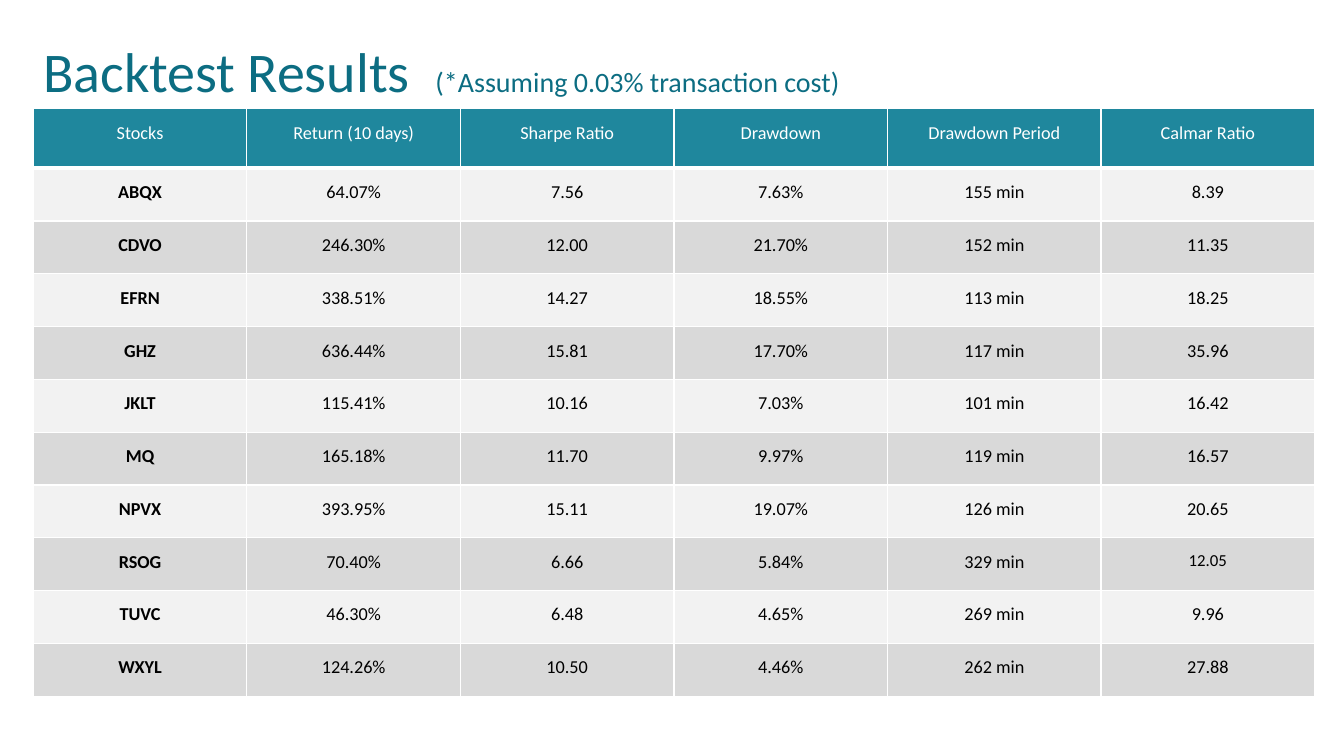
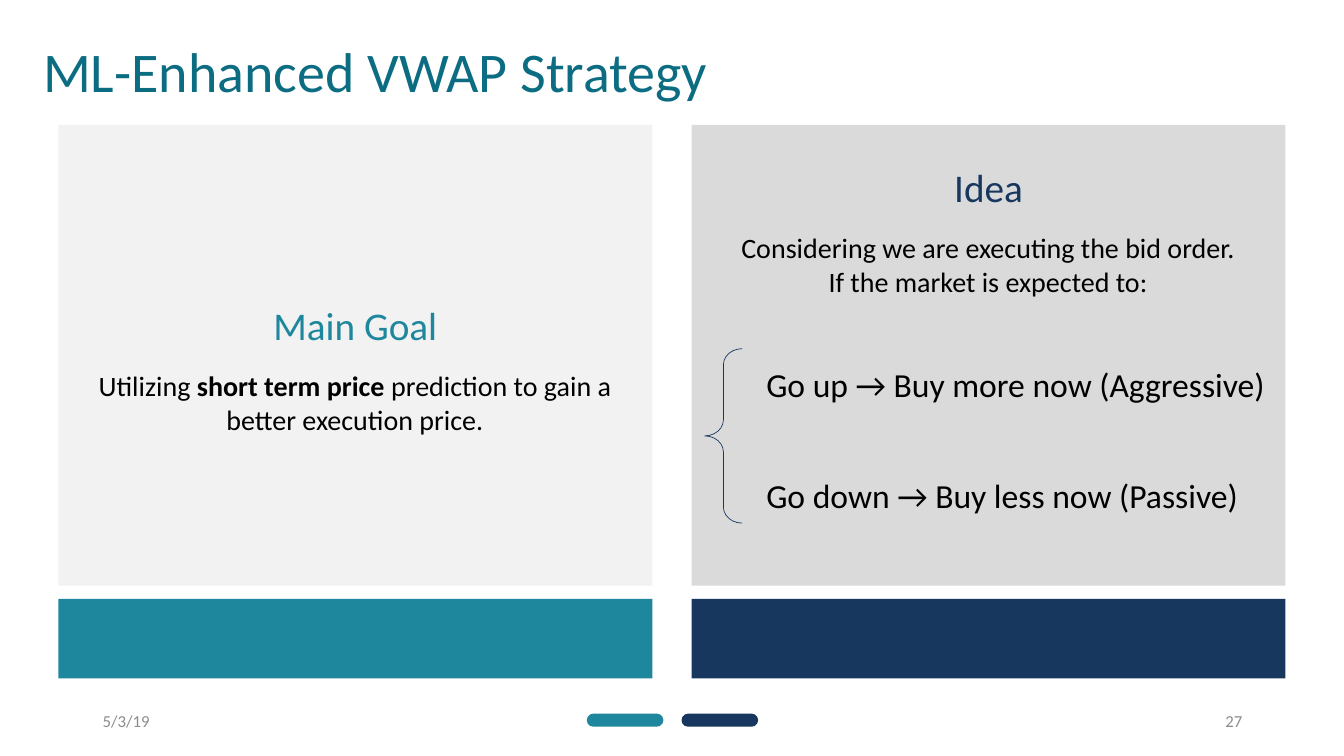
from lxml.etree import SubElement
from pptx import Presentation
from pptx.dml.color import RGBColor
from pptx.enum.shapes import MSO_SHAPE as Preset
from pptx.enum.text import MSO_ANCHOR as Anchor, PP_ALIGN as Align
from pptx.oxml.ns import qn
from pptx.util import Inches, Pt

FONT = "Calibri"
TITLE, TEAL, NAVY = "0C6D82", "1F879D", "17375E"
LIGHT, MID, CARD = "F2F2F2", "D9D9D9", "DADADA"
BLACK, WHITE, GRAY = "000000", "FFFFFF", "8C8C8C"


def color(value):
    return RGBColor.from_string(value)


class Deck:
    """Builds slides in one shared style."""

    def __init__(self):
        self.presentation = Presentation()
        self.presentation.slide_width = Inches(13.33)
        self.presentation.slide_height = Inches(7.5)
        self.slide = None

    def new_slide(self, title, note=None):
        self.slide = self.presentation.slides.add_slide(self.presentation.slide_layouts[6])
        frame = self.text(0.33, 0.39, 12.6, 0.7, [[(title, False)]], 40, TITLE, inset=None)
        paragraph = frame.paragraphs[0]
        paragraph.line_spacing = 0.9
        if note:
            tabs = SubElement(paragraph._p.get_or_add_pPr(), qn("a:tabLst"))
            SubElement(tabs, qn("a:tab"), pos=str(Inches(3.89)), algn="l")
            self.run(paragraph, "\t" + note, 20, TITLE)

    def run(self, paragraph, text, size, ink, bold=False):
        run = paragraph.add_run()
        run.text = text
        run.font.name = FONT
        run.font.size = Pt(size)
        run.font.bold = bold
        run.font.color.rgb = color(ink)

    def text(self, left, top, width, height, paragraphs, size, ink,
             align=Align.LEFT, anchor=Anchor.TOP, inset=0):
        box = self.slide.shapes.add_textbox(
            Inches(left), Inches(top), Inches(width), Inches(height))
        frame = box.text_frame
        frame.word_wrap = True
        frame.vertical_anchor = anchor
        if inset is not None:
            frame.margin_left = frame.margin_right = Inches(inset)
            frame.margin_top = frame.margin_bottom = Inches(inset)
        for index, runs in enumerate(paragraphs):
            paragraph = frame.add_paragraph() if index else frame.paragraphs[0]
            paragraph.alignment = align
            for words, bold in runs:
                self.run(paragraph, words, size, ink, bold)
        return frame

    def shape(self, preset, left, top, width, height, fill=None, line=None, adjustments=()):
        shape = self.slide.shapes.add_shape(
            preset, Inches(left), Inches(top), Inches(width), Inches(height))
        shape.shadow.inherit = False
        for index, value in enumerate(adjustments):
            shape.adjustments[index] = value
        if fill:
            shape.fill.solid()
            shape.fill.fore_color.rgb = color(fill)
        else:
            shape.fill.background()
        if line:
            shape.line.color.rgb = color(line)
            shape.line.width = Pt(0.5)
        else:
            shape.line.fill.background()

    def cell(self, cell, text, size, ink, fill, bold=False, bottom=1):
        cell.margin_left = cell.margin_right = Inches(0.13)
        cell.margin_top = cell.margin_bottom = Inches(0.13)
        properties = cell._tc.get_or_add_tcPr()
        for side, width in (("L", 1), ("R", 1), ("T", 1), ("B", bottom)):
            line = SubElement(properties, qn(f"a:ln{side}"), w=str(Pt(width)))
            solid = SubElement(line, qn("a:solidFill"))
            SubElement(solid, qn("a:srgbClr"), val=WHITE)
        cell.fill.solid()
        cell.fill.fore_color.rgb = color(fill)
        paragraph = cell.text_frame.paragraphs[0]
        paragraph.alignment = Align.CENTER
        self.run(paragraph, text, size, ink, bold)

    def table(self, left, top, width, height, header_height, header, rows, small=()):
        table = self.slide.shapes.add_table(
            len(rows) + 1, len(header),
            Inches(left), Inches(top), Inches(width), Inches(height)).table
        table.horz_banding = False
        table.rows[0].height = Inches(header_height)
        for column, label in enumerate(header):
            self.cell(table.cell(0, column), label, 13, WHITE, TEAL, bottom=3)
        for number, values in enumerate(rows, 1):
            table.rows[number].height = Inches((height - header_height) / len(rows))
            fill = LIGHT if number % 2 else MID
            for column, value in enumerate(values):
                size = 12 if (number, column) in small else 13
                self.cell(table.cell(number, column), value, size, BLACK, fill, column == 0)

    def footer(self, date, number):
        for left, fill in ((5.82, TEAL), (6.76, NAVY)):
            self.shape(Preset.ROUNDED_RECTANGLE, left, 7.08, 0.76, 0.13, fill,
                       adjustments=[0.5])
        for left, words, align in ((0.92, date, Align.LEFT), (9.42, number, Align.RIGHT)):
            self.text(left, 6.95, 3, 0.4, [[(words, False)]], 12, GRAY,
                      align, Anchor.MIDDLE, None)

    def card(self, left, fill, accent, heading, heading_top, body):
        self.shape(Preset.RECTANGLE, left, 1.24, 5.89, 4.57, fill)
        self.shape(Preset.RECTANGLE, left, 5.94, 5.89, 0.79, accent)
        self.text(left + 0.53, heading_top, 4.83, 0.47, [[(heading, False)]], 28, accent,
                  Align.CENTER)
        self.text(left + 0.25, heading_top + 0.67, 5.38, 0.67, body, 20, BLACK, Align.CENTER)


def backtest_slide(deck):
    deck.new_slide("Backtest Results", "(*Assuming 0.03% transaction cost)")
    header = ["Stocks", "Return (10 days)", "Sharpe Ratio", "Drawdown",
              "Drawdown Period", "Calmar Ratio"]
    rows = [
        ("ABQX", "64.07%", "7.56", "7.63%", "155 min", "8.39"),
        ("CDVO", "246.30%", "12.00", "21.70%", "152 min", "11.35"),
        ("EFRN", "338.51%", "14.27", "18.55%", "113 min", "18.25"),
        ("GHZ", "636.44%", "15.81", "17.70%", "117 min", "35.96"),
        ("JKLT", "115.41%", "10.16", "7.03%", "101 min", "16.42"),
        ("MQ", "165.18%", "11.70", "9.97%", "119 min", "16.57"),
        ("NPVX", "393.95%", "15.11", "19.07%", "126 min", "20.65"),
        ("RSOG", "70.40%", "6.66", "5.84%", "329 min", "12.05"),
        ("TUVC", "46.30%", "6.48", "4.65%", "269 min", "9.96"),
        ("WXYL", "124.26%", "10.50", "4.46%", "262 min", "27.88"),
    ]
    deck.table(0.33, 1.08, 12.71, 5.83, 0.59, header, rows, small={(8, 5)})


def strategy_slide(deck):
    deck.new_slide("ML-Enhanced VWAP Strategy")
    deck.footer("5/3/19", "27")
    deck.card(0.58, LIGHT, TEAL, "Main Goal", 2.99, [[
        ("Utilizing ", False),
        ("short term price ", True),
        ("prediction to gain a better execution price.", False),
    ]])
    deck.card(6.86, CARD, NAVY, "Idea", 1.62, [
        [("Considering we are executing the bid order.", False)],
        [("If the market is expected to:", False)],
    ])
    deck.shape(Preset.LEFT_BRACE, 6.99, 3.46, 0.37, 1.73, line=NAVY, adjustments=[0.43, 0.5])
    choices = ["Go up → Buy more now (Aggressive)", "Go down → Buy less now (Passive)"]
    for index, choice in enumerate(choices):
        deck.text(7.6, 3.61 + 1.1 * index, 5.38, 0.4, [[(choice, False)]], 24, BLACK)


def main():
    deck = Deck()
    backtest_slide(deck)
    strategy_slide(deck)
    deck.presentation.save("out.pptx")


if __name__ == "__main__":
    main()
